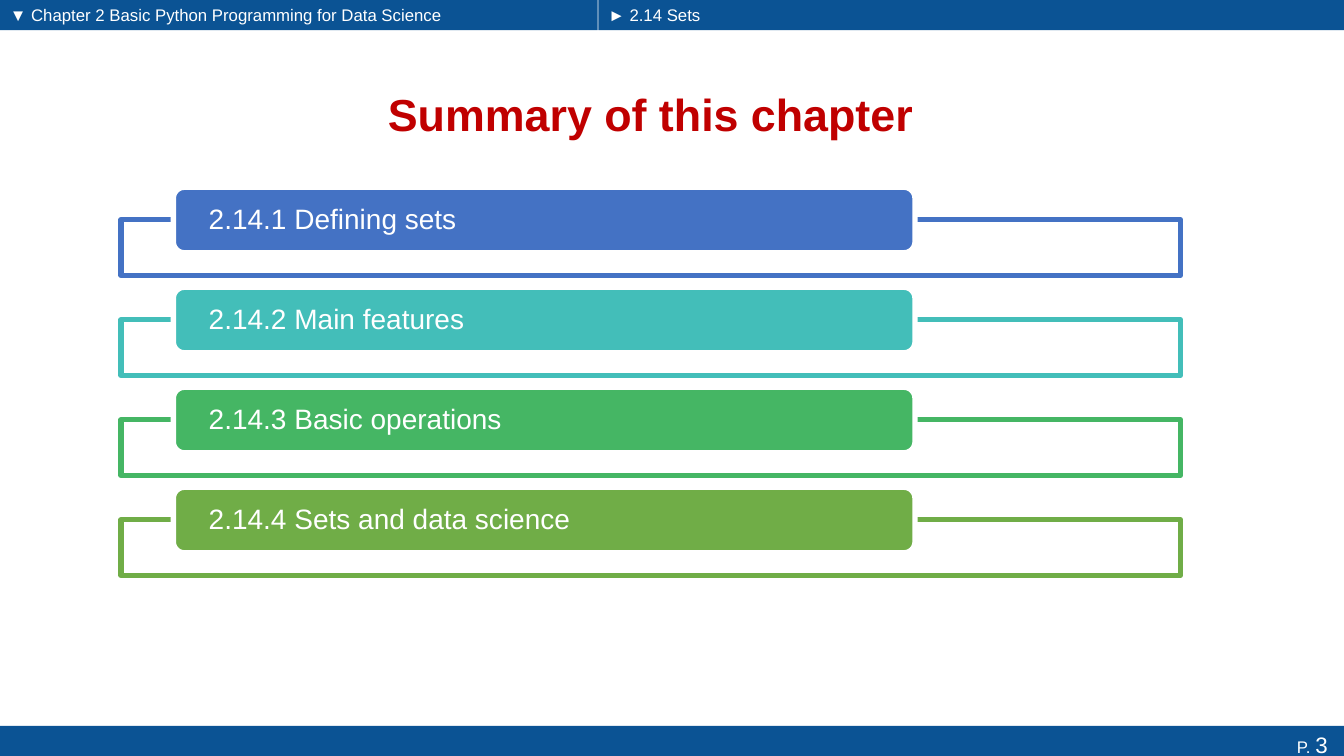
from dataclasses import dataclass

from lxml.etree import SubElement
from pptx import Presentation
from pptx.dml.color import RGBColor
from pptx.enum.shapes import MSO_SHAPE
from pptx.enum.text import MSO_ANCHOR, MSO_AUTO_SIZE, PP_ALIGN
from pptx.oxml.ns import qn
from pptx.shapes.autoshape import Shape
from pptx.slide import Slide
from pptx.text.text import Font
from pptx.util import Cm, Pt


@dataclass(frozen=True)
class Theme:
    face: str = "Arial"
    white: str = "FFFFFF"
    bar: str = "0B5394"
    title: str = "C00000"
    small: int = 12
    page: int = 16
    item: int = 20
    head: int = 32
    line: float = 3.78


@dataclass(frozen=True)
class Area:
    left: float
    top: float
    width: float
    height: float

    def down(self, step: float) -> "Area":
        return Area(self.left, self.top + step, self.width, self.height)


@dataclass(frozen=True)
class Topic:
    text: str
    color: str


THEME = Theme()
WIDTH, HEIGHT = 33.87, 19.05
SPLIT = 15.06
PITCH = 2.52
FRAME = Area(3.05, 5.54, 26.7, 1.4)
LABEL = Area(4.37, 4.72, 18.69, 1.65)
TOPICS = (
    Topic("2.14.1 Defining sets", "4472C4"),
    Topic("2.14.2 Main features", "43BEB9"),
    Topic("2.14.3 Basic operations", "45B664"),
    Topic("2.14.4 Sets and data science", "70AD47"),
)


def style(font: Font, size: int, color: str = THEME.white) -> None:
    font.name = THEME.face
    font.size = Pt(size)
    font.color.rgb = RGBColor.from_string(color)


def block(slide: Slide, kind: MSO_SHAPE, area: Area, fill: str,
          line: str | None = None) -> Shape:
    shape = slide.shapes.add_shape(
        kind, Cm(area.left), Cm(area.top), Cm(area.width), Cm(area.height))
    shape.shadow.inherit = False
    shape.fill.solid()
    shape.fill.fore_color.rgb = RGBColor.from_string(fill)
    if line:
        shape.line.color.rgb = RGBColor.from_string(line)
        shape.line.width = Pt(THEME.line)
    else:
        shape.line.fill.background()
    return shape


def write(shape: Shape, text: str, size: int, inset: float = 0.25) -> None:
    frame = shape.text_frame
    frame.word_wrap = True
    frame.vertical_anchor = MSO_ANCHOR.MIDDLE
    frame.margin_left = frame.margin_right = Cm(inset)
    frame.margin_top = frame.margin_bottom = 0
    para = frame.paragraphs[0]
    para.text = text
    para.alignment = PP_ALIGN.LEFT
    style(para.font, size)


def draw_bars(slide: Slide) -> None:
    # Header halves, parted by a hairline gap
    start = SPLIT + 0.02
    for area, text in (
        (Area(0, 0, SPLIT, 0.76),
         "▼ Chapter 2 Basic Python Programming for Data Science"),
        (Area(start, 0, WIDTH - start, 0.76), "► 2.14 Sets"),
    ):
        write(block(slide, MSO_SHAPE.RECTANGLE, area, THEME.bar),
              text, THEME.small)

    # Footer with page number
    foot = block(slide, MSO_SHAPE.RECTANGLE,
                 Area(0, 18.29, WIDTH, 0.94), THEME.bar)
    write(foot, "P. ", THEME.small, 0.41)
    para = foot.text_frame.paragraphs[0]
    para.alignment = PP_ALIGN.RIGHT
    page = para.add_run()
    page.text = "3"
    page.font.size = Pt(THEME.page)


def draw_title(slide: Slide) -> None:
    title = slide.shapes.title
    title.left, title.top = Cm(6.38), Cm(1.73)
    title.width, title.height = Cm(20.04), Cm(2.29)
    frame = title.text_frame
    frame.auto_size = MSO_AUTO_SIZE.NONE
    frame.vertical_anchor = MSO_ANCHOR.MIDDLE
    para = frame.paragraphs[0]
    para.text = "Summary of this chapter"
    para.alignment = PP_ALIGN.CENTER
    style(para.font, THEME.head, THEME.title)
    para.font.bold = True


def draw_topic(slide: Slide, topic: Topic, step: float) -> None:
    # Outlined frame with a nearly opaque fill
    frame = block(slide, MSO_SHAPE.RECTANGLE, FRAME.down(step),
                  THEME.white, topic.color)
    color = frame._element.spPr.find(qn("a:solidFill"))[0]
    SubElement(color, qn("a:alpha")).set("val", "90000")

    # Label over the frame's top edge
    label = block(slide, MSO_SHAPE.ROUNDED_RECTANGLE, LABEL.down(step),
                  topic.color, THEME.white)
    write(label, topic.text, THEME.item, 0.81)
    label.text_frame.paragraphs[0].line_spacing = 0.9


def main() -> None:
    deck = Presentation()
    deck.slide_width, deck.slide_height = Cm(WIDTH), Cm(HEIGHT)
    slide = deck.slides.add_slide(deck.slide_layouts.get_by_name("Title Only"))
    draw_bars(slide)
    draw_title(slide)
    for index, topic in enumerate(TOPICS):
        draw_topic(slide, topic, index * PITCH)
    deck.save("out.pptx")


if __name__ == "__main__":
    main()
